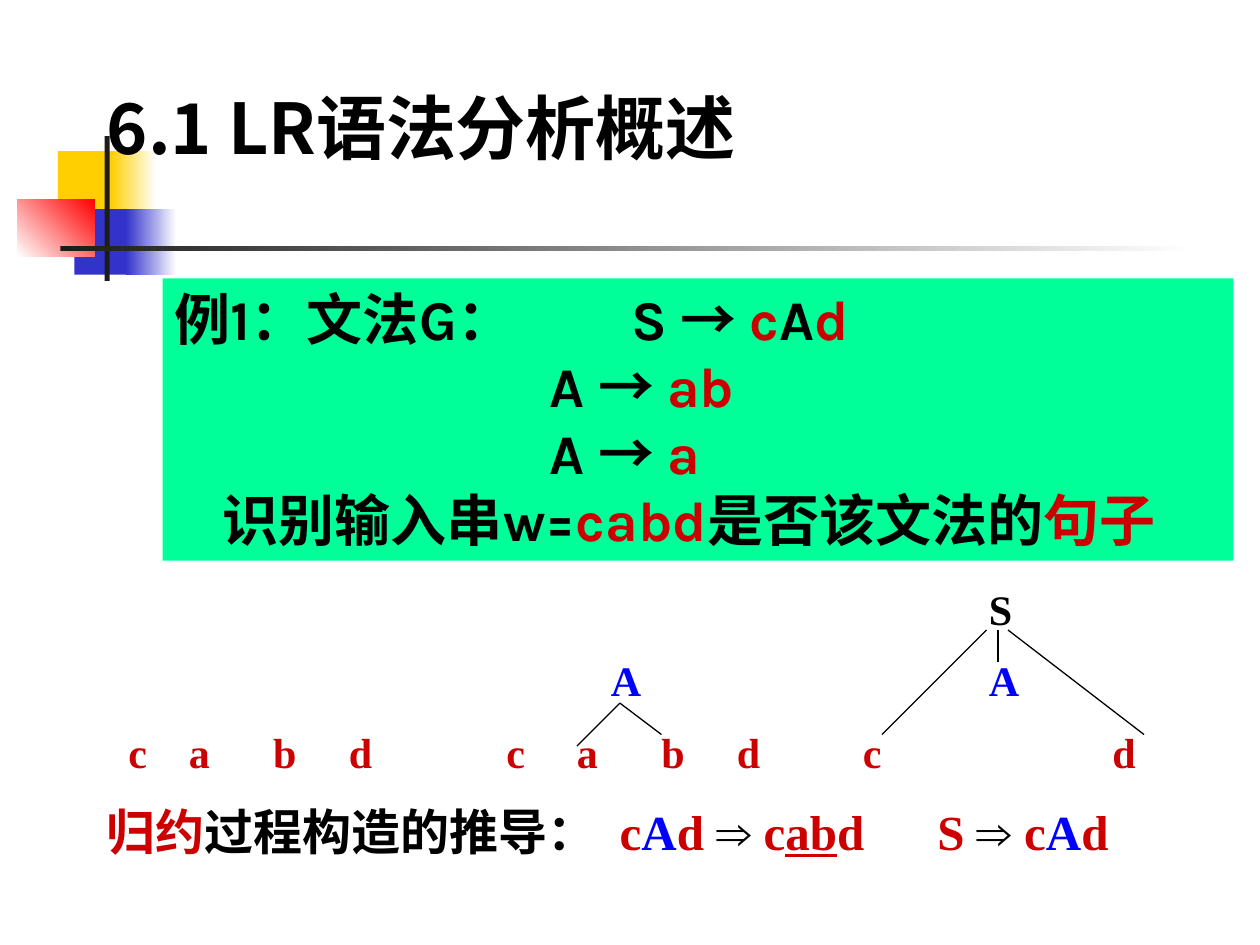
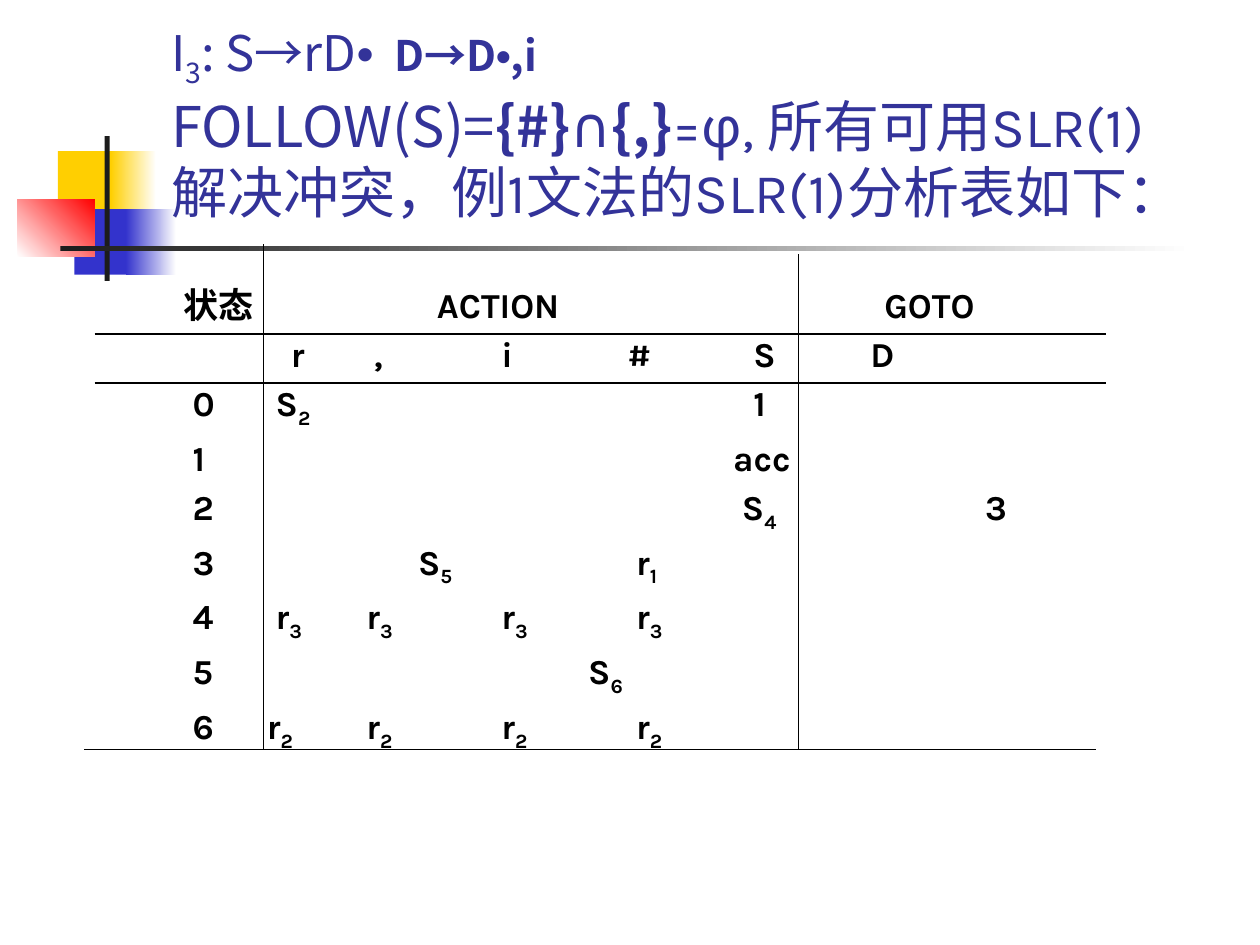
from dataclasses import dataclass
from typing import Optional

from lxml.etree import SubElement
from pptx import Presentation
from pptx.dml.color import RGBColor
from pptx.enum.shapes import MSO_CONNECTOR, MSO_SHAPE
from pptx.enum.text import MSO_ANCHOR
from pptx.oxml.ns import qn
from pptx.util import Inches, Pt

COLORS = {
    "ink": "000000",
    "red": "CC0000",
    "blue": "0000FF",
    "title": "333399",
    "panel": "00FF99",
    "yellow": "FFCF01",
    "indigo": "3333CC",
    "bright": "FF0000",
    "dark": "1C1C1C",
    "white": "FFFFFF",
}
CJK = "Noto Sans CJK SC"
KARLA = "Karla"
TIMES = "Times New Roman"
INSET = 0.1


@dataclass
class Span:
    text: str
    color: str = "ink"
    font: Optional[str] = None
    size: Optional[float] = None
    bold: bool = True
    underline: bool = False
    subscript: bool = False


@dataclass
class Line:
    spans: list[Span]
    tabs: tuple[float, ...] = ()  # slide positions in inches
    exact: Optional[float] = None  # line height in points
    before: float = 0


@dataclass
class Block:
    left: float
    top: float
    width: float
    height: float
    start: str
    end: Optional[str] = None
    angle: int = 0


@dataclass
class Rule:
    x1: float
    y1: float
    x2: float
    y2: float


# Decoration shared by both slides
BAND = [
    Block(0.46, 1.2, 0.48, 0.52, "yellow"),
    Block(0.88, 1.2, 0.36, 0.52, "yellow", "white"),
    Block(0.59, 1.66, 0.46, 0.52, "indigo"),
    Block(1, 1.66, 0.4, 0.52, "indigo", "white"),
    Block(0.14, 1.58, 0.61, 0.46, "white", "bright", 45),
    Block(0.83, 1.08, 0.04, 1.15, "dark"),
    Block(0.48, 1.95, 9, 0.04, "dark", "white"),
]


def rgb(name: str) -> RGBColor:
    return RGBColor.from_string(COLORS[name])


def draw_block(page, block: Block):
    box = page.shapes.add_shape(
        MSO_SHAPE.RECTANGLE, Inches(block.left), Inches(block.top),
        Inches(block.width), Inches(block.height))
    box.shadow.inherit = False
    box.line.fill.background()
    if block.end:
        box.fill.gradient()
        box.fill.gradient_angle = block.angle
        colors = (block.start, block.end)
        for position, stop in enumerate(box.fill.gradient_stops):
            stop.color.rgb = rgb(colors[position])
            stop.position = position
    else:
        box.fill.solid()
        box.fill.fore_color.rgb = rgb(block.start)
    return box


def draw_rule(page, rule: Rule) -> None:
    line = page.shapes.add_connector(
        MSO_CONNECTOR.STRAIGHT, Inches(rule.x1), Inches(rule.y1),
        Inches(rule.x2), Inches(rule.y2))
    line.line.width = Pt(0.75)
    line.line.color.rgb = rgb("ink")
    SubElement(line._element.spPr, qn("a:effectLst"))


def write_span(para, span: Span, font: str, size: float) -> None:
    run = para.add_run()
    run.text = span.text
    values = {
        "name": span.font or font,
        "size": Pt(span.size or size),
        "bold": span.bold,
        "underline": span.underline,
    }
    for key, value in values.items():
        setattr(run.font, key, value)
    run.font.color.rgb = rgb(span.color)
    props = run._r.get_or_add_rPr()
    SubElement(props, qn("a:ea"), typeface=CJK)
    if span.subscript:
        props.set("baseline", "-25000")


def write_lines(box, lines: list[Line], font: str, size: float) -> None:
    frame = box.text_frame
    frame.word_wrap = True
    text_left = box.left + Inches(INSET)
    for index, line in enumerate(lines):
        para = frame.add_paragraph() if index else frame.paragraphs[0]
        props = para._p.get_or_add_pPr()
        props.set("algn", "l")
        if line.tabs:
            stops = SubElement(props, qn("a:tabLst"))
            for tab in line.tabs:
                SubElement(stops, qn("a:tab"), algn="l",
                           pos=str(Inches(tab) - text_left))
        if line.exact:
            para.line_spacing = Pt(line.exact)
        if index and line.before:
            para.space_before = Pt(line.before)
        for span in line.spans:
            write_span(para, span, font, size)


def text_box(page, left: float, top: float, width: float, height: float):
    return page.shapes.add_textbox(
        Inches(left), Inches(top), Inches(width), Inches(height))


def new_page(deck):
    page = deck.slides.add_slide(deck.slide_layouts[6])
    for block in BAND:
        draw_block(page, block)
    return page


def overview_slide(deck) -> None:
    page = new_page(deck)
    title = text_box(page, 0.75, 0.62, 8.5, 0.79)
    write_lines(title, [Line([Span("6.1 LR语法分析概述")])], CJK, 40)

    # Grammar panel
    arrow = Span("→ ", font=CJK)
    grammar = [
        Line([Span("例1：文法G：\tS "), arrow, Span("c", "red"), Span("A"),
              Span("d", "red")], (5.01,), 38.3),
        Line([Span("\tA "), arrow, Span("ab", "red")], (4.36,), 38.3),
        Line([Span("\tA "), arrow, Span("a", "red")], (4.36,), 38.3),
        Line([Span("\t识别输入串w="), Span("cabd", "red"),
              Span("是否该文法的"), Span("句子", "red")], (1.77,), 38.3),
    ]
    panel = draw_block(page, Block(1.29, 2.21, 8.5, 2.24, "panel"))
    panel.text_frame.vertical_anchor = MSO_ANCHOR.TOP
    write_lines(panel, grammar, KARLA, 32)

    # Parse trees and the derivation below them
    leaves = (1.02, 1.5, 2.17, 2.77, 4.02, 4.58, 5.25, 5.85, 6.85, 8.83)
    trees = [
        Line([Span("\tS")], (7.85,)),
        Line([Span("\tA\tA", "blue")], (4.85, 7.85), before=12),
        Line([Span("".join("\t" + leaf for leaf in "cabdcabdcd"), "red")],
             leaves, before=12),
        Line([Span(text, color, size=28, underline=text == "ab")
              for text, color in (
                  ("归约", "red"), ("过程构造的推导：\t", "ink"),
                  ("c", "red"), ("A", "blue"), ("d ", "red"), ("⇒", "ink"),
                  (" c", "red"), ("ab", "red"), ("d\tS ", "red"),
                  ("⇒ ", "ink"), ("c", "red"), ("A", "blue"), ("d", "red"))],
             (4.92, 7.44), 35.7, 12),
    ]
    write_lines(text_box(page, 0.75, 4.58, 8.92, 2.4), trees, TIMES, 24)
    for branch in (
        Rule(7.92, 5, 7.92, 5.25),
        Rule(7.83, 5, 7, 5.83),
        Rule(8, 5, 9.08, 5.83),
        Rule(4.92, 5.58, 4.58, 5.92),
        Rule(4.92, 5.58, 5.25, 5.83),
    ):
        draw_rule(page, branch)


def table_line(cells: dict[float, str], exact: Optional[float] = None) -> Line:
    """Place each cell at its position; an underscore starts a subscript."""
    spans = []
    for text in cells.values():
        base, _, index = text.partition("_")
        spans.append(Span("\t" + base))
        if index:
            spans.append(Span(index, subscript=True))
    return Line(spans, tuple(cells), exact, 4)


def slr_table_slide(deck) -> None:
    page = new_page(deck)

    # Heading on the conflict in state 3
    def plain(text: str, font: str = CJK, size: float = 32) -> Span:
        return Span(text, "title", font, size, bold=False)

    def strong(text: str, font: str = CJK, size: float = 32) -> Span:
        return Span(text, "title", font, size)

    index = plain("3", size=28)
    index.subscript = True
    heading = [
        Line([plain("I", size=28), index, plain(": S→rD", size=28),
              plain("•\t", "Arial", 28), strong("D→D", size=24),
              strong("•", "Arial", 24), strong(",i", size=24)], (3.13,)),
        Line([plain("FOLLOW(S)="), strong("{#}"), plain("∩", KARLA),
              strong("{,}"), plain("=φ, 所有可用SLR(1)", KARLA)], exact=39.7),
        Line([plain("解决冲突，例1文法的SLR(1)分析表如下：", KARLA)], exact=37.3),
    ]
    write_lines(text_box(page, 1.26, 0.13, 8.52, 1.75), heading, CJK, 32)

    # Analysis table, set with tab stops
    state, r, comma, i, end = 1.53, 2.19, 2.91, 3.98, 5.05
    rows = [
        table_line({1.46: "状态", 3.47: "ACTION", 7.02: "GOTO"}, 23.4),
        table_line({2.31: "r", 2.97: ",", 3.98: "i", 4.98: "#",
                    5.98: "S", 6.91: "D"}),
        table_line({state: "0", r: "S_2", 5.98: "1"}),
        table_line({state: "1", 5.82: "acc"}),
        table_line({state: "2", 5.89: "S_4", 7.82: "3"}),
        table_line({state: "3", 3.32: "S_5", end: "r_1"}),
        table_line({state: "4", r: "r_3", comma: "r_3", i: "r_3", end: "r_3"}),
        table_line({state: "5", 4.67: "S_6"}),
        table_line({state: "6", 2.12: "r_2", comma: "r_2", i: "r_2",
                    end: "r_2"}),
    ]
    write_lines(text_box(page, 1.29, 2.21, 8.5, 4.5), rows, KARLA, 20)
    for rule in (
        Rule(0.75, 3.04, 8.78, 3.04),
        Rule(2.09, 1.94, 2.09, 5.95),
        Rule(6.34, 2.02, 6.34, 5.95),
        Rule(0.75, 2.65, 8.78, 2.65),
        Rule(0.67, 5.95, 8.7, 5.95),
    ):
        draw_rule(page, rule)


def main() -> None:
    deck = Presentation()
    deck.slide_width, deck.slide_height = Inches(10), Inches(7.5)
    overview_slide(deck)
    slr_table_slide(deck)
    deck.save("out.pptx")


if __name__ == "__main__":
    main()
